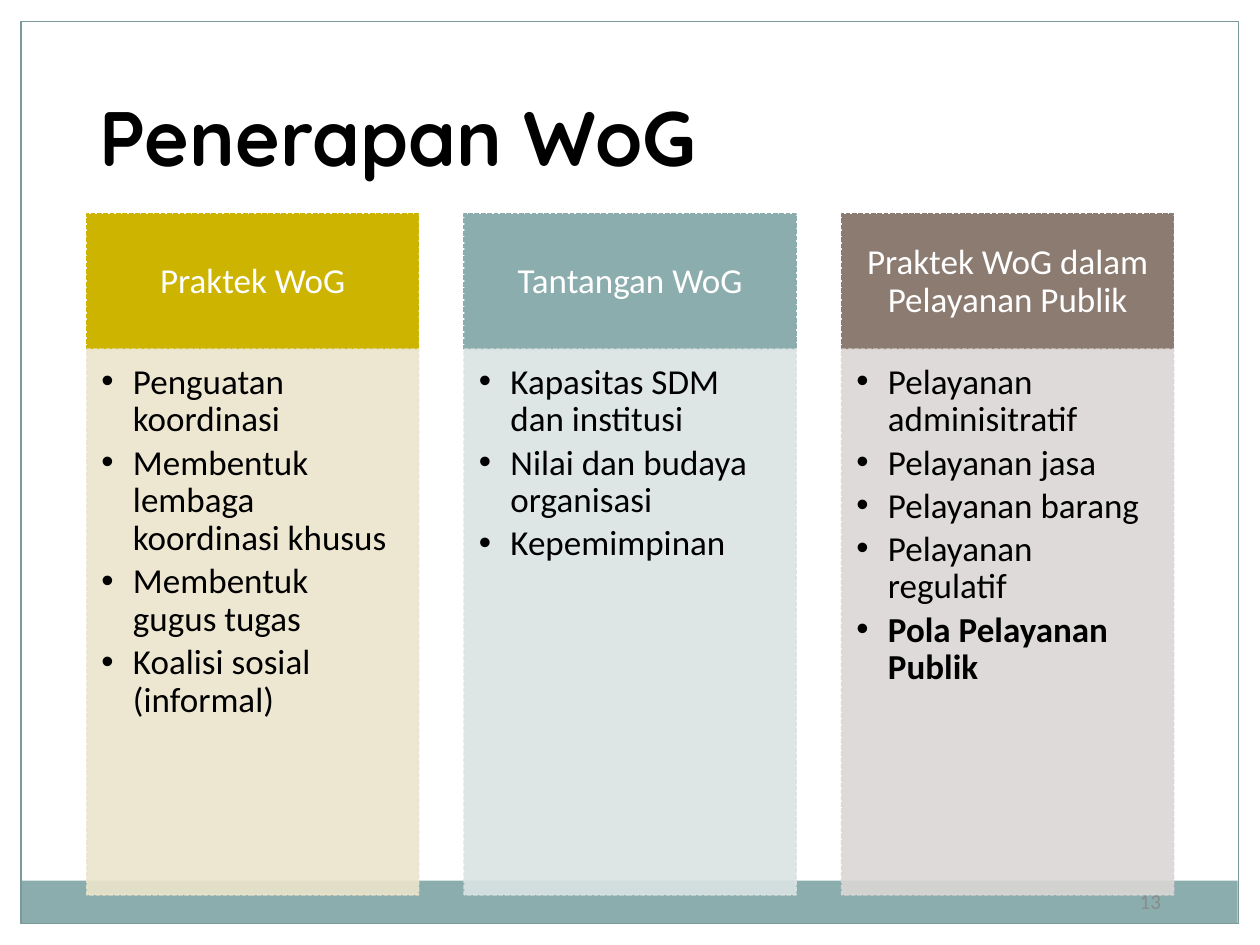
import pptx
import pptx.dml.color
import pptx.enum.dml
import pptx.enum.shapes
import pptx.enum.text
import pptx.oxml.ns
import pptx.util
from lxml import etree

Pt = pptx.util.Pt
qn = pptx.oxml.ns.qn
ALIGN = pptx.enum.text.PP_ALIGN
ANCHOR = pptx.enum.text.MSO_ANCHOR

COLUMN_LEFT, COLUMN_TOP = 49.6, 122.4
COLUMN_WIDTH, COLUMN_STEP = 189.6, 215.7
HEADER_HEIGHT, BODY_HEIGHT = 77.2, 311.8

COLUMNS = [
    ("Praktek WoG", "CCB400", "ECE5CC",
     ["Penguatan koordinasi", "Membentuk lembaga koordinasi khusus",
      "Membentuk gugus tugas", "Koalisi sosial (informal)"]),
    ("Tantangan WoG", "8CADAE", "DAE3E3",
     ["Kapasitas SDM dan institusi", "Nilai dan budaya organisasi", "Kepemimpinan"]),
    ("Praktek WoG dalam Pelayanan Publik", "8C7B70", "DAD7D5",
     ["Pelayanan adminisitratif", "Pelayanan jasa", "Pelayanan barang",
      "Pelayanan regulatif", "Pola Pelayanan Publik"]),
]
BOLD_ITEM = "Pola Pelayanan Publik"


def paint(color_format, color):
    color_format.rgb = pptx.dml.color.RGBColor.from_string(color)


def prepare_frame(box, insets=(7.2, 3.6, 7.2, 3.6), anchor=ANCHOR.MIDDLE):
    frame = box.text_frame
    frame.word_wrap = True
    frame.auto_size = pptx.enum.text.MSO_AUTO_SIZE.NONE
    frame.vertical_anchor = anchor
    (frame.margin_left, frame.margin_top,
     frame.margin_right, frame.margin_bottom) = map(Pt, insets)
    return frame


def write(para, text, size=20, font="Calibri", color="000000", bold=False,
          align=ALIGN.LEFT, line_spacing=0.9, space_after=0):
    para.alignment = align
    para.line_spacing = line_spacing
    para.space_before = Pt(0)
    para.space_after = Pt(space_after)
    span = para.add_run()
    span.text = text
    span.font.size = Pt(size)
    span.font.name = font
    span.font.bold = bold
    paint(span.font.color, color)


def add_bullet(para, indent=18):
    para.level = 1
    properties = para._p.get_or_add_pPr()
    properties.set("marL", str(Pt(indent)))
    properties.set("indent", str(-Pt(indent)))
    bullet_color = etree.SubElement(properties, qn("a:buClr"))
    etree.SubElement(bullet_color, qn("a:srgbClr"), val="000000")
    etree.SubElement(properties, qn("a:buFont"), typeface="Arial")
    etree.SubElement(properties, qn("a:buChar"), char="•")


def add_panel(page, left, top, width, height, fill=None, line=None,
              line_width=0.9, dashed=False, opacity=100):
    panel = page.shapes.add_shape(
        pptx.enum.shapes.MSO_SHAPE.RECTANGLE, *map(Pt, (left, top, width, height)))
    panel.shadow.inherit = False
    if fill:
        panel.fill.solid()
        paint(panel.fill.fore_color, fill)
    else:
        panel.fill.background()
    if line:
        paint(panel.line.color, line)
        panel.line.width = Pt(line_width)
        if dashed:
            panel.line.dash_style = pptx.enum.dml.MSO_LINE.SQUARE_DOT
    else:
        panel.line.fill.background()
    if opacity < 100:
        for color in panel.element.spPr.iter(qn("a:srgbClr")):
            etree.SubElement(color, qn("a:alpha"), val=str(opacity * 1000))
    return panel


def add_title(page, text):
    title = page.shapes.title
    title.left, title.top, title.width, title.height = map(Pt, (49.5, 28.75, 621, 104.4))
    frame = prepare_frame(title)
    write(frame.paragraphs[0], text, size=44, font="Quicksand", bold=True)


def add_column(page, left, heading, header_color, body_color, items):
    header = add_panel(page, left, COLUMN_TOP, COLUMN_WIDTH, HEADER_HEIGHT,
                       fill=header_color, line=header_color, dashed=True)
    frame = prepare_frame(header, (11.2, 6.4, 11.2, 6.4))
    write(frame.paragraphs[0], heading, color="FFFFFF", align=ALIGN.CENTER, space_after=7)

    body = add_panel(page, left, COLUMN_TOP + HEADER_HEIGHT, COLUMN_WIDTH, BODY_HEIGHT,
                     fill=body_color, line=body_color, dashed=True, opacity=90)
    frame = prepare_frame(body, (8.4, 8.4, 11.2, 12.6), ANCHOR.TOP)
    for index, item in enumerate(items):
        para = frame.add_paragraph() if index else frame.paragraphs[0]
        write(para, item, bold=item == BOLD_ITEM, space_after=3)
        add_bullet(para)


def add_page_number(page, number):
    box = page.shapes.add_textbox(*map(Pt, (508.5, 500.5, 162, 28.75)))
    frame = prepare_frame(box)
    write(frame.paragraphs[0], number, size=12, color="8B8B8B",
          align=ALIGN.RIGHT, line_spacing=1.0)


def main():
    deck = pptx.Presentation()
    deck.slide_width, deck.slide_height = Pt(720), Pt(540)
    page = deck.slides.add_slide(deck.slide_layouts[5])
    add_panel(page, 11.75, 503.3, 695.5, 24.5, fill="8CADAE")
    add_panel(page, 12, 12.2, 695.8, 515.5, line="7C999A", line_width=0.75)
    add_title(page, "Penerapan WoG")
    for index, column in enumerate(COLUMNS):
        add_column(page, COLUMN_LEFT + index * COLUMN_STEP, *column)
    add_page_number(page, "13")
    deck.save("out.pptx")


main()
